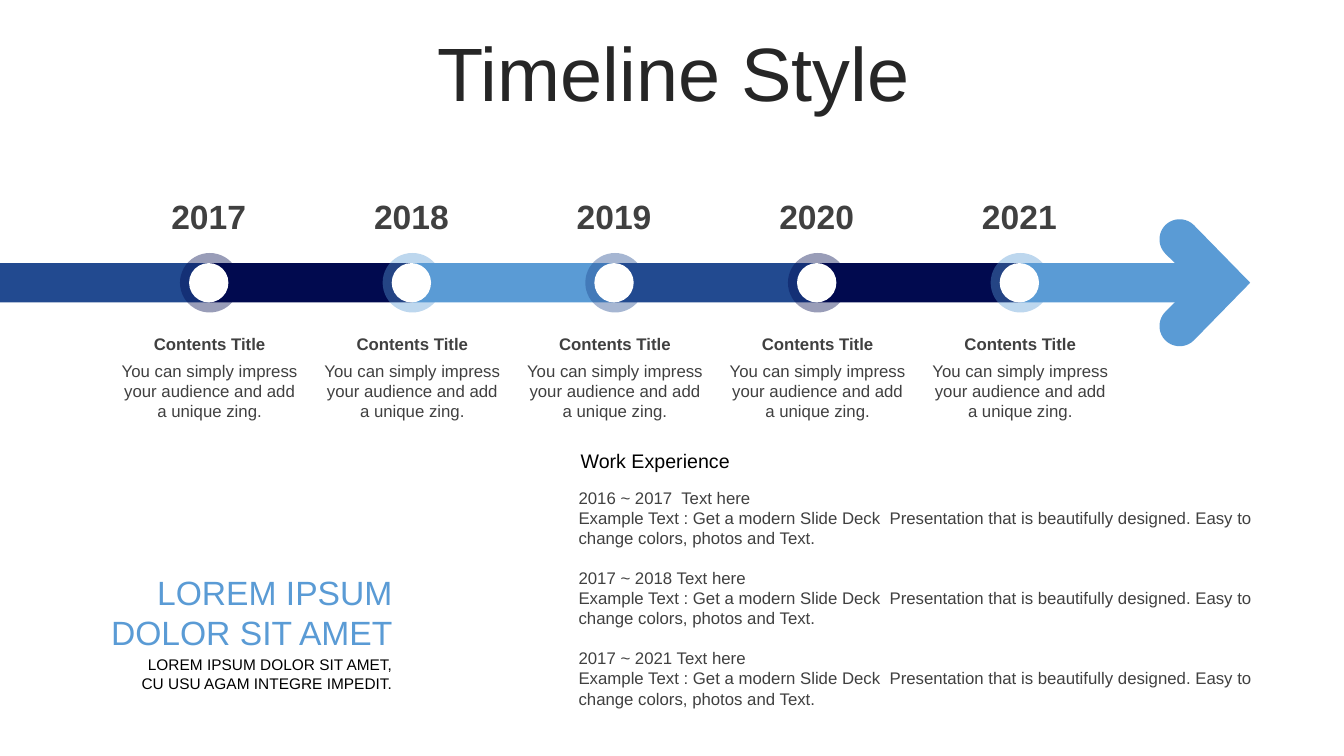
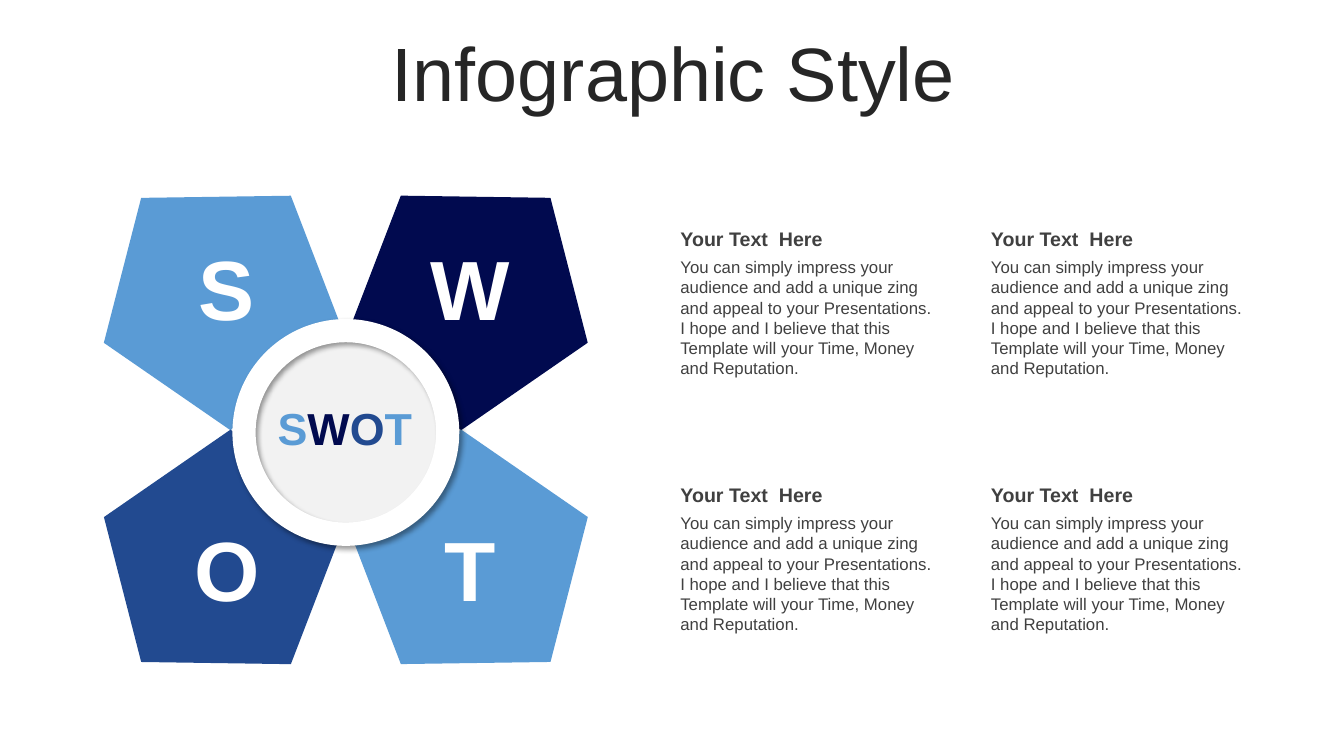
from math import cos, radians, sin

from lxml import etree
from pptx import Presentation
from pptx.dml.color import RGBColor
from pptx.enum.shapes import MSO_SHAPE
from pptx.enum.text import MSO_ANCHOR, MSO_AUTO_SIZE, PP_ALIGN
from pptx.oxml.ns import qn
from pptx.util import Inches, Pt

LEFT, CENTER, RIGHT = PP_ALIGN.LEFT, PP_ALIGN.CENTER, PP_ALIGN.RIGHT
TOP, MIDDLE = MSO_ANCHOR.TOP, MSO_ANCHOR.MIDDLE
NO_AUTOFIT = MSO_AUTO_SIZE.NONE
RECTANGLE, ELLIPSE = MSO_SHAPE.RECTANGLE, MSO_SHAPE.OVAL
PENTAGON, DONUT = MSO_SHAPE.REGULAR_PENTAGON, MSO_SHAPE.DONUT

# Shared style
FONT = "Arial"
BLUE = RGBColor(0x22, 0x4A, 0x90)
NAVY = RGBColor(0x01, 0x0A, 0x4F)
SKY = RGBColor(0x5A, 0x9B, 0xD5)
WHITE = RGBColor(0xFF, 0xFF, 0xFF)
BLACK = RGBColor(0, 0, 0)
PALE_GRAY = RGBColor(0xF2, 0xF2, 0xF2)
TITLE_GRAY = RGBColor(0x26, 0x26, 0x26)
TEXT_GRAY = RGBColor(0x40, 0x40, 0x40)

# Timeline content
YEARS = ["2017", "2018", "2019", "2020", "2021"]
BAND_COLORS = [BLUE, NAVY, SKY] * 2
STEP_TITLE = "Contents Title"
STEP_TEXT = "You can simply impress your audience and add a unique zing."
SLOGAN = ["LOREM IPSUM", "DOLOR SIT AMET"]
SLOGAN_DETAIL = ["LOREM IPSUM DOLOR SIT AMET,", "CU USU AGAM INTEGRE IMPEDIT."]
WORK_TITLE = "Work Experience"
WORK_PERIODS = ["2016 ~ 2017  Text here", "2017 ~ 2018 Text here", "2017 ~ 2021 Text here"]
WORK_TEXT = ("Example Text : Get a modern Slide Deck  Presentation that is beautifully "
             "designed. Easy to change colors, photos and Text.")

# SWOT content: letter, color, petal rotation, in rows of two
SWOT = [("S", SKY, 321.8), ("W", NAVY, 38.2), ("O", BLUE, 218.2), ("T", SKY, 141.8)]
NOTE_TITLE = "Your Text  Here"
NOTE_TEXT = ("You can simply impress your audience and add a unique zing and appeal to your "
             "Presentations. I hope and I believe that this Template will your Time, Money "
             "and Reputation.")


def style_runs(paragraph, size, color, bold=False):
    for run in paragraph.runs:
        run.font.name, run.font.size, run.font.bold = FONT, Pt(size), bold
        run.font.color.rgb = color


def add_text(slide, lines, left, top, width, height, size,
             color=TEXT_GRAY, bold=False, align=LEFT, anchor=TOP):
    box = slide.shapes.add_textbox(Inches(left), Inches(top), Inches(width), Inches(height))
    frame = box.text_frame
    frame.word_wrap = True
    frame.vertical_anchor = anchor
    frame.text = "\n".join(lines)
    for paragraph in frame.paragraphs:
        paragraph.alignment = align
        style_runs(paragraph, size, color, bold)
    return frame


def paint(shape, color):
    shape.shadow.inherit = False
    shape.fill.solid()
    shape.fill.fore_color.rgb = color
    shape.line.fill.background()


def add_block(slide, kind, left, top, width, height, color):
    block = slide.shapes.add_shape(kind, Inches(left), Inches(top), Inches(width), Inches(height))
    paint(block, color)
    return block


def add_disc(slide, center_x, center_y, diameter, color, kind=ELLIPSE):
    return add_block(slide, kind, center_x - diameter / 2, center_y - diameter / 2,
                     diameter, diameter, color)


def set_alpha(color_element, percent):
    etree.SubElement(color_element, qn("a:alpha"), val=str(percent * 1000))


def drop_shadow(shape):
    effects = shape._element.spPr.find(qn("a:effectLst"))
    shadow = etree.SubElement(effects, qn("a:outerShdw"), blurRad=str(Pt(4)), dist=str(Pt(3)),
                              dir=str(45 * 60000), algn="tl", rotWithShape="0")
    set_alpha(etree.SubElement(shadow, qn("a:srgbClr"), val=str(BLACK)), 40)


def add_titled_slide(prs, text):
    slide = prs.slides.add_slide(prs.slide_layouts[5])
    title = slide.shapes.title
    title.left, title.top = Inches(0.35), Inches(0.37)
    title.width, title.height = Inches(12.66), Inches(0.79)
    frame = title.text_frame
    frame.text = text
    frame.auto_size = NO_AUTOFIT
    frame.vertical_anchor = MIDDLE
    paragraph = frame.paragraphs[0]
    paragraph.alignment = CENTER
    paragraph.line_spacing = 0.9
    style_runs(paragraph, 54, TITLE_GRAY)
    return slide


def add_arrowhead(slide, middle_y):
    # Two round-ended arms at 45 degrees that meet in the tip
    cap_x, cap_offset, cap_radius = 11.7, 0.43, 0.2
    tip_x, notch_x = 12.4, 11.85
    arc = [(cap_x + cap_radius * cos(radians(a)), cap_radius * sin(radians(a)) - cap_offset)
           for a in range(135, 316, 10)]
    upper = [(notch_x, 0)] + arc + [(tip_x, 0)]
    lower = [(x, -y) for x, y in reversed(arc)]
    points = [(Inches(x), Inches(middle_y + y)) for x, y in upper + lower]
    builder = slide.shapes.build_freeform(*points[0])
    builder.add_line_segments(points[1:], close=True)
    paint(builder.convert_to_shape(), SKY)


def build_timeline(prs):
    slide = add_titled_slide(prs, "Timeline Style")
    first_x, step, band_top, band_height = 2.08, 2.01, 2.61, 0.39
    middle_y = band_top + band_height / 2
    centers = [first_x + i * step for i in range(len(YEARS))]

    # Band and arrowhead
    edges = [0] + centers + [centers[-1] + step]
    for start, end, color in zip(edges, edges[1:], BAND_COLORS):
        add_block(slide, RECTANGLE, start, band_top, end - start, band_height, color)
    add_arrowhead(slide, middle_y)

    # Milestones
    for year, x, color in zip(YEARS, centers, BAND_COLORS[1:]):
        halo = add_disc(slide, x, middle_y, 0.59, color)
        set_alpha(halo._element.spPr.find(qn("a:solidFill"))[0], 40)
        add_disc(slide, x - 0.01, middle_y, 0.39, WHITE)
        add_text(slide, [year], x - 0.75, 1.89, 1.48, 0.5, 24, bold=True, align=CENTER)
        add_text(slide, [STEP_TITLE], x - 1, 3.26, 2, 0.3, 12, bold=True, align=CENTER)
        add_text(slide, [STEP_TEXT], x - 1, 3.53, 2, 0.71, 12, align=CENTER)

    # Slogan
    add_text(slide, SLOGAN, 0.74, 5.62, 3.25, 0.91, 24, SKY, align=RIGHT, anchor=MIDDLE)
    add_text(slide, SLOGAN_DETAIL, 0.74, 6.45, 3.25, 0.47, 11, BLACK,
             align=RIGHT, anchor=MIDDLE)

    # Work experience
    add_text(slide, [WORK_TITLE], 5.66, 4.4, 7.09, 0.34, 14, BLACK)
    lines = [line for period in WORK_PERIODS for line in (period, WORK_TEXT)]
    work = add_text(slide, lines, 5.64, 4.79, 7.13, 2.32, 12)
    for period in work.paragraphs[2::2]:
        period.space_before = Pt(14)


def build_swot(prs):
    slide = add_titled_slide(prs, "Infographic Style")
    cells = [(i % 2, i // 2) for i in range(len(SWOT))]

    # Petals
    for (_, color, angle), (column, row) in zip(SWOT, cells):
        petal = add_block(slide, PENTAGON, 0.95 + 2.6 * column, 1.71 + 2.75 * row,
                          2.36, 2.36, color)
        petal.rotation = angle

    # Hub
    hub_x, hub_y, ring_size, ring_width = 3.43, 4.29, 2.25, 0.23
    drop_shadow(add_disc(slide, hub_x, hub_y, 1.97, PALE_GRAY))
    ring = add_disc(slide, hub_x, hub_y, ring_size, WHITE, DONUT)
    ring.adjustments[0] = ring_width / ring_size
    drop_shadow(ring)

    # Letters and notes
    for (letter, _, _), (column, row) in zip(SWOT, cells):
        add_text(slide, [letter], 1.71 + 2.41 * column, 2.3 + 2.78 * row, 1.08, 1.11,
                 60, WHITE, bold=True, align=CENTER)
        note_x, note_y = 6.65 + 3.08 * column, 2.2 + 2.54 * row
        add_text(slide, [NOTE_TITLE], note_x, note_y, 2.76, 0.34, 14, bold=True)
        add_text(slide, [NOTE_TEXT], note_x, note_y + 0.3, 2.76, 1.31, 12)

    # Hub label, one color per letter
    label = add_text(slide, [""], 2.58, 3.92, 1.68, 0.64, 32, align=CENTER, anchor=MIDDLE)
    word = label.paragraphs[0]
    for letter, _, _ in SWOT:
        word.add_run().text = letter
    style_runs(word, 32, SKY, bold=True)
    for run, (_, color, _) in zip(word.runs, SWOT):
        run.font.color.rgb = color


def main():
    prs = Presentation()
    prs.slide_width, prs.slide_height = Inches(13.33), Inches(7.5)
    build_timeline(prs)
    build_swot(prs)
    prs.save("out.pptx")


if __name__ == "__main__":
    main()
